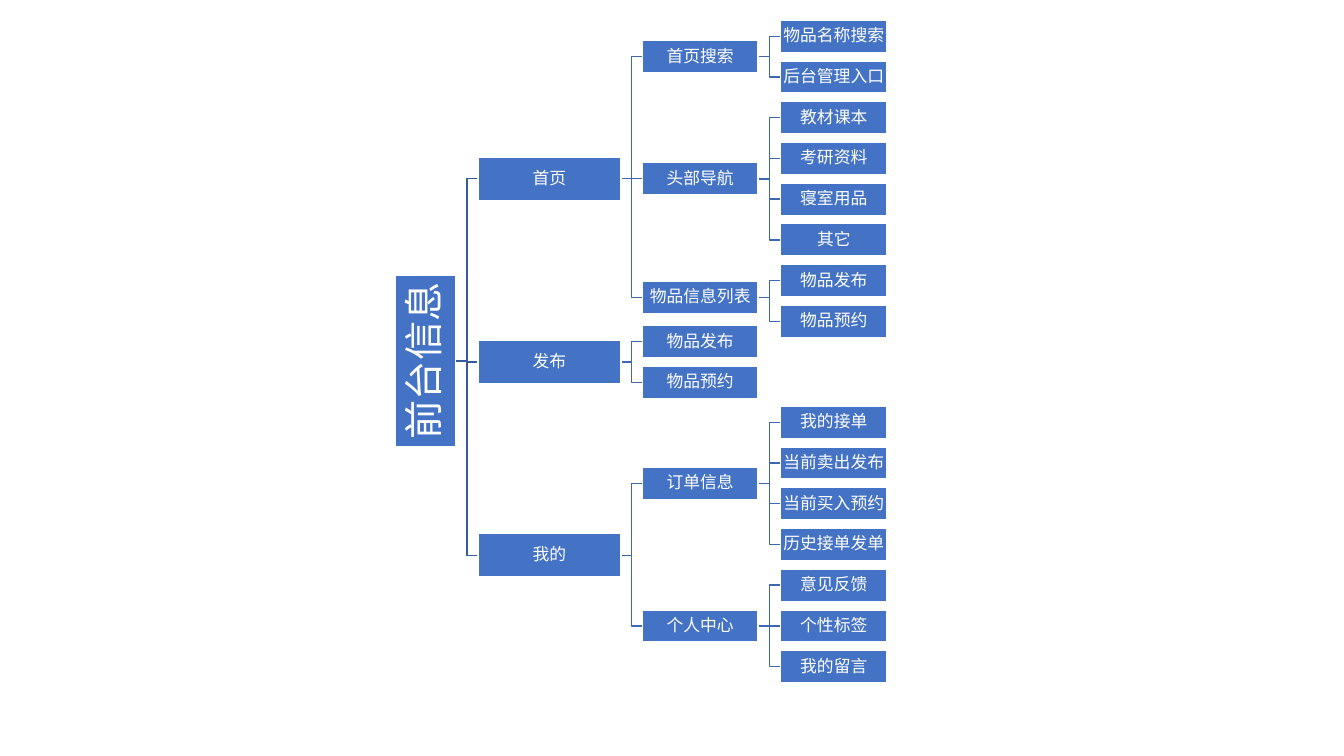
import lxml.etree
import pptx
import pptx.dml.color
import pptx.enum.shapes
import pptx.enum.text
import pptx.oxml.ns
import pptx.util

FONT = "Noto Sans CJK SC"
BOX, WHITE = "4472C4", "FFFFFF"

# Grid: rows are counted between box centres
FIRST_ROW = 0.36
ROW = 2.02 / 5

# One entry per level of the tree: left, width, height, font size
LEVELS = [
    (3.92, 0.6, 1.7, 28),
    (4.74, 1.42, 0.43, 12),
    (6.37, 1.15, 0.32, 12),
    (7.74, 1.06, 0.32, 12),
]
# Branch colours by level of the parent
BRANCHES = ["365B9D", "3E67B2", "3E67B2"]


def leaves(first_row, *labels):
    return [(label, first_row + i, []) for i, label in enumerate(labels)]


# Each node: label, row, children
SITE = ("前台信息", 7.97, [
    ("首页", 3.5, [
        ("首页搜索", 0.5, leaves(0, "物品名称搜索", "后台管理入口")),
        ("头部导航", 3.5, leaves(2, "教材课本", "考研资料", "寝室用品", "其它")),
        ("物品信息列表", 6.41, leaves(6, "物品发布", "物品预约")),
    ]),
    ("发布", 8, leaves(7.5, "物品发布", "物品预约")),
    ("我的", 12.75, [
        ("订单信息", 10.98, leaves(
            9.48, "我的接单", "当前卖出发布", "当前买入预约", "历史接单发单")),
        ("个人中心", 14.48, leaves(13.48, "意见反馈", "个性标签", "我的留言")),
    ]),
])


def color(value):
    return pptx.dml.color.RGBColor.from_string(value)


def center_y(row):
    return FIRST_ROW + row * ROW


def add_branch(s, level, row, child_row):
    """Join the right side of a parent to the left side of its child."""
    left, width = LEVELS[level][:2]
    kinds = pptx.enum.shapes.MSO_CONNECTOR
    kind = kinds.STRAIGHT if row == child_row else kinds.ELBOW
    ends = (left + width, center_y(row), LEVELS[level + 1][0], center_y(child_row))
    line = s.shapes.add_connector(kind, *map(pptx.util.Inches, ends))
    line.line.color.rgb = color(BRANCHES[level])
    line.line.width = pptx.util.Pt(1)
    lxml.etree.SubElement(line._element.spPr, pptx.oxml.ns.qn("a:effectLst"))


def add_box(s, level, label, row):
    left, width, height, size = LEVELS[level]
    mid_x = left + width / 2
    upright = level == 0
    if upright:  # the root box is turned, so its sides swap
        width, height = height, width
    frame = (mid_x - width / 2, center_y(row) - height / 2, width, height)
    sp = s.shapes.add_shape(pptx.enum.shapes.MSO_SHAPE.RECTANGLE,
                            *map(pptx.util.Inches, frame))
    sp.rotation = 270 if upright else 0
    sp.shadow.inherit = False
    sp.fill.solid()
    sp.fill.fore_color.rgb = color(BOX)
    sp.line.color.rgb = color(WHITE)
    sp.line.width = pptx.util.Pt(1)

    tf = sp.text_frame
    tf.word_wrap = True
    tf.vertical_anchor = pptx.enum.text.MSO_ANCHOR.MIDDLE
    inset = pptx.util.Inches(0.02 if upright else 0.01)
    tf.margin_left = tf.margin_right = tf.margin_top = tf.margin_bottom = inset
    p = tf.paragraphs[0]
    p.text = label
    p.alignment = pptx.enum.text.PP_ALIGN.CENTER
    p.line_spacing = 0.9
    p.space_after = pptx.util.Pt(size * 0.35)
    p.font.size = pptx.util.Pt(size)
    p.font.color.rgb = color(WHITE)
    p.font.name = FONT
    # East Asian typeface, next to the Latin one
    latin = p.font._element.find(pptx.oxml.ns.qn("a:latin"))
    ea = lxml.etree.Element(pptx.oxml.ns.qn("a:ea"), typeface=FONT)
    latin.addnext(ea)


def add_branches(s, node, level=0):
    _, row, children = node
    for child in children:
        add_branch(s, level, row, child[1])
        add_branches(s, child, level + 1)


def add_boxes(s, node, level=0):
    label, row, children = node
    add_box(s, level, label, row)
    for child in children:
        add_boxes(s, child, level + 1)


def main():
    prs = pptx.Presentation()
    prs.slide_width = pptx.util.Inches(13.33)
    prs.slide_height = pptx.util.Inches(7.5)
    s = prs.slides.add_slide(prs.slide_layouts[6])
    # Branches lie behind the boxes
    add_branches(s, SITE)
    add_boxes(s, SITE)
    prs.save("out.pptx")


main()
